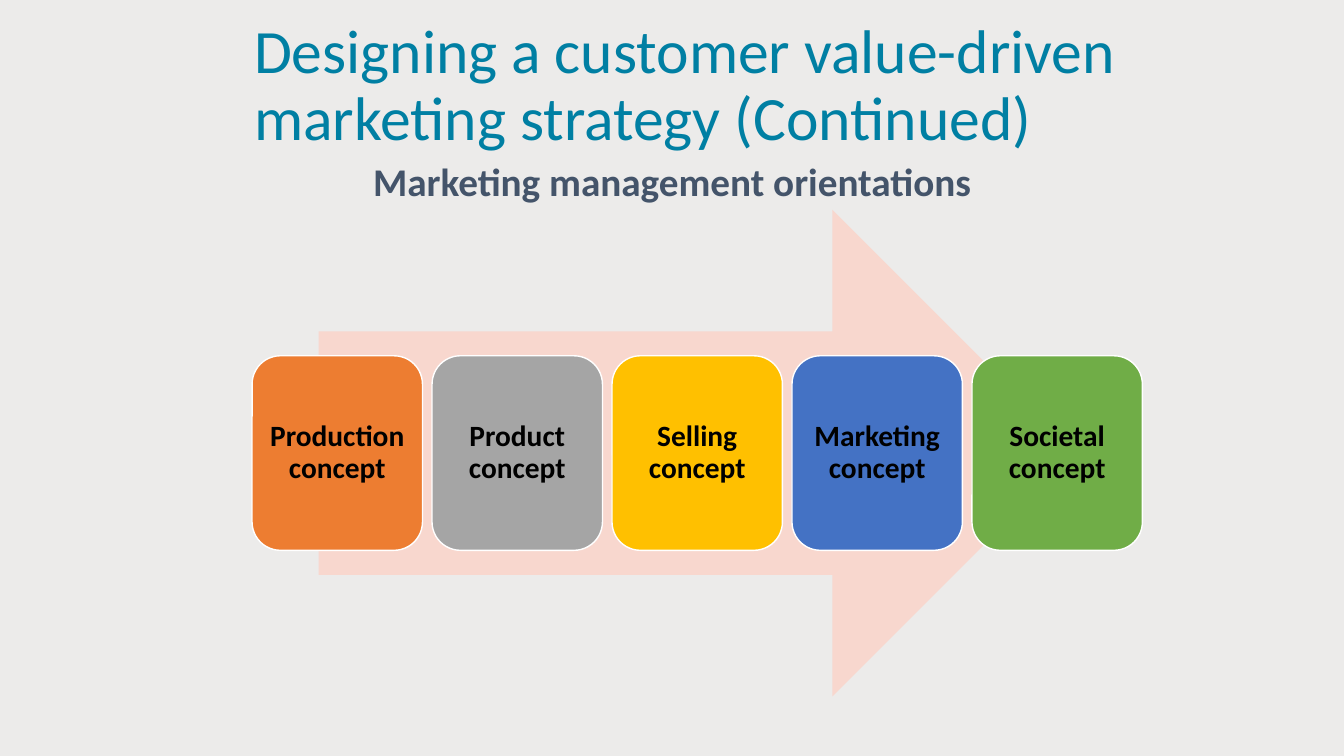
from pptx import Presentation
from pptx import util as u
from pptx.dml.color import RGBColor
from pptx.enum import shapes, text

PX = 9144  # 100 px to the inch
FONT = "Calibri"
CONCEPTS = [
    ("Production concept", "ED7D31"),
    ("Product concept", "A5A5A5"),
    ("Selling concept", "FFC000"),
    ("Marketing concept", "4472C4"),
    ("Societal concept", "70AD47"),
]
CARD_LEFT, CARD_TOP, CARD_WIDTH, CARD_HEIGHT = 250, 353, 169, 193
CARDS_RIGHT = 1133
CARD_STEP = (CARDS_RIGHT - CARD_WIDTH - CARD_LEFT) / (len(CONCEPTS) - 1)


def px(length):
    return u.Emu(round(length * PX))


def box(*lengths):
    return [px(length) for length in lengths]


def color(hex_value):
    return RGBColor.from_string(hex_value)


def set_all(target, values):
    for name, value in values.items():
        setattr(target, name, value)


def write(shape, words, size, hex_value, bold=False,
          align=text.PP_ALIGN.CENTER, anchor=text.MSO_ANCHOR.MIDDLE):
    frame = shape.text_frame
    set_all(frame, {"text": words, "word_wrap": True,
                    "auto_size": text.MSO_AUTO_SIZE.NONE,
                    "vertical_anchor": anchor})
    paragraph = frame.paragraphs[0]
    set_all(paragraph, {"alignment": align, "line_spacing": 0.9})
    font = paragraph.runs[0].font
    set_all(font, {"name": FONT, "size": u.Pt(size), "bold": bold})
    font.color.rgb = color(hex_value)


def add_filled(slide, kind, bounds, fill):
    """Add a flat preset shape without an outline."""
    shape = slide.shapes.add_shape(kind, *box(*bounds))
    shape.shadow.inherit = False
    shape.fill.solid()
    shape.fill.fore_color.rgb = color(fill)
    shape.line.fill.background()
    return shape


def add_concept(slide, index, label, fill):
    bounds = (CARD_LEFT + index * CARD_STEP, CARD_TOP, CARD_WIDTH, CARD_HEIGHT)
    card = add_filled(slide, shapes.MSO_SHAPE.ROUNDED_RECTANGLE, bounds, fill)
    card.line.color.rgb = color("FFFFFF")
    card.line.width = u.Pt(1)
    set_all(card.text_frame, {"margin_left": px(5), "margin_right": px(5)})
    write(card, label, 21, "000000", bold=True)


def add_title(slide, words):
    title = slide.shapes.title
    set_all(title, dict(zip(("left", "top", "width", "height"),
                            box(242, 24, 900, 125))))
    write(title, words, 44, "007FA3", align=text.PP_ALIGN.LEFT)


def add_subtitle(slide, words):
    subtitle = slide.shapes.add_textbox(*box(200, 156, 933, 42))
    write(subtitle, words, 28, "44546A", bold=True, anchor=text.MSO_ANCHOR.TOP)


def main():
    deck = Presentation()
    set_all(deck, {"slide_width": px(1333), "slide_height": px(750)})
    slide = deck.slides.add_slide(deck.slide_layouts.get_by_name("Title Only"))
    background = slide.background.fill
    background.solid()
    background.fore_color.rgb = color("ECEBEA")

    add_title(slide, "Designing a customer value-driven marketing strategy (Continued)")
    add_subtitle(slide, "Marketing management orientations")
    add_filled(slide, shapes.MSO_SHAPE.RIGHT_ARROW, (316, 208, 751, 483), "F8D7CE")
    for index, (label, fill) in enumerate(CONCEPTS):
        add_concept(slide, index, label, fill)
    deck.save("out.pptx")


if __name__ == "__main__":
    main()
